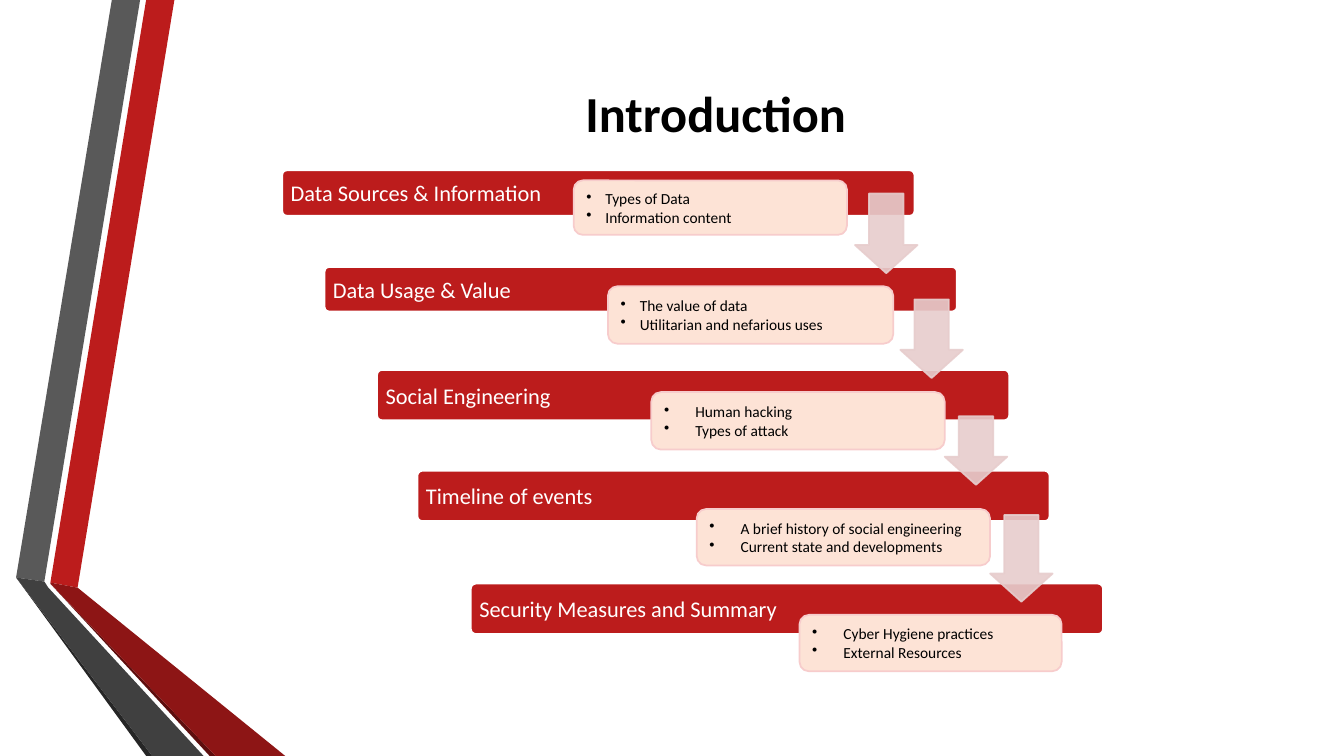
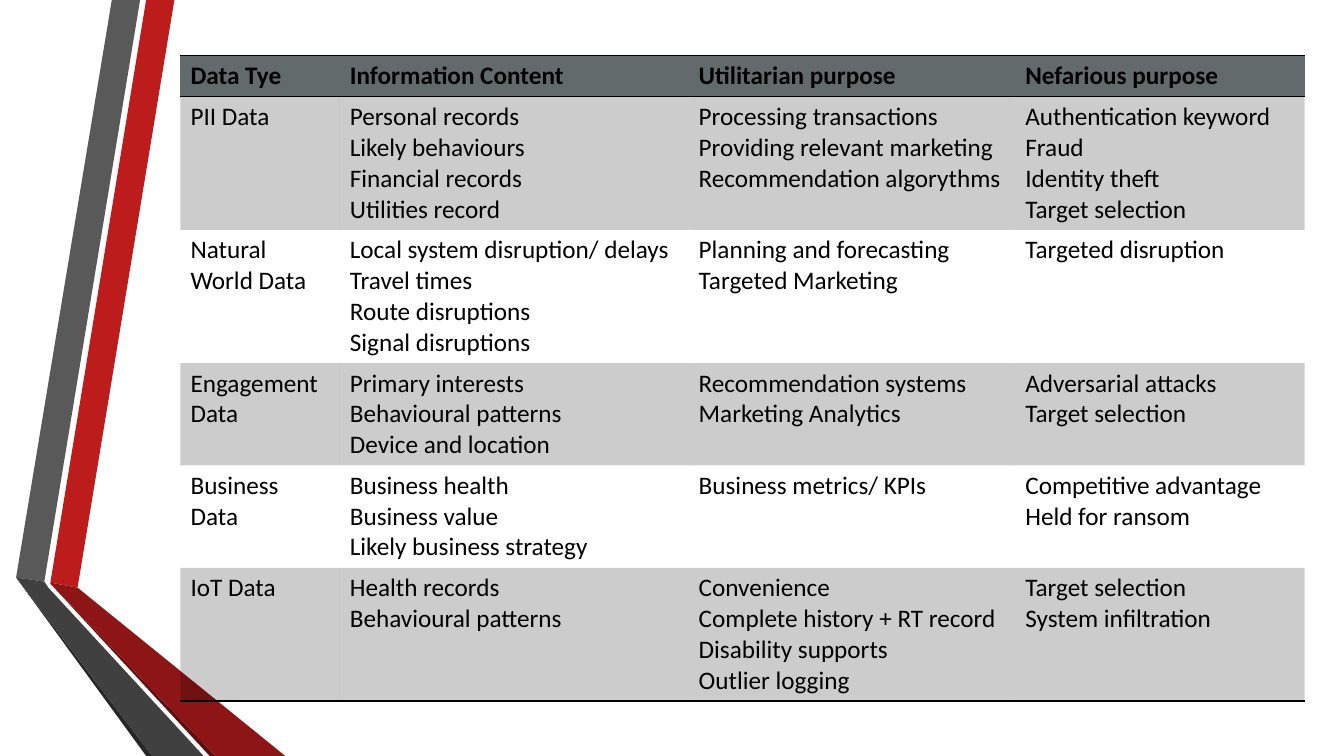
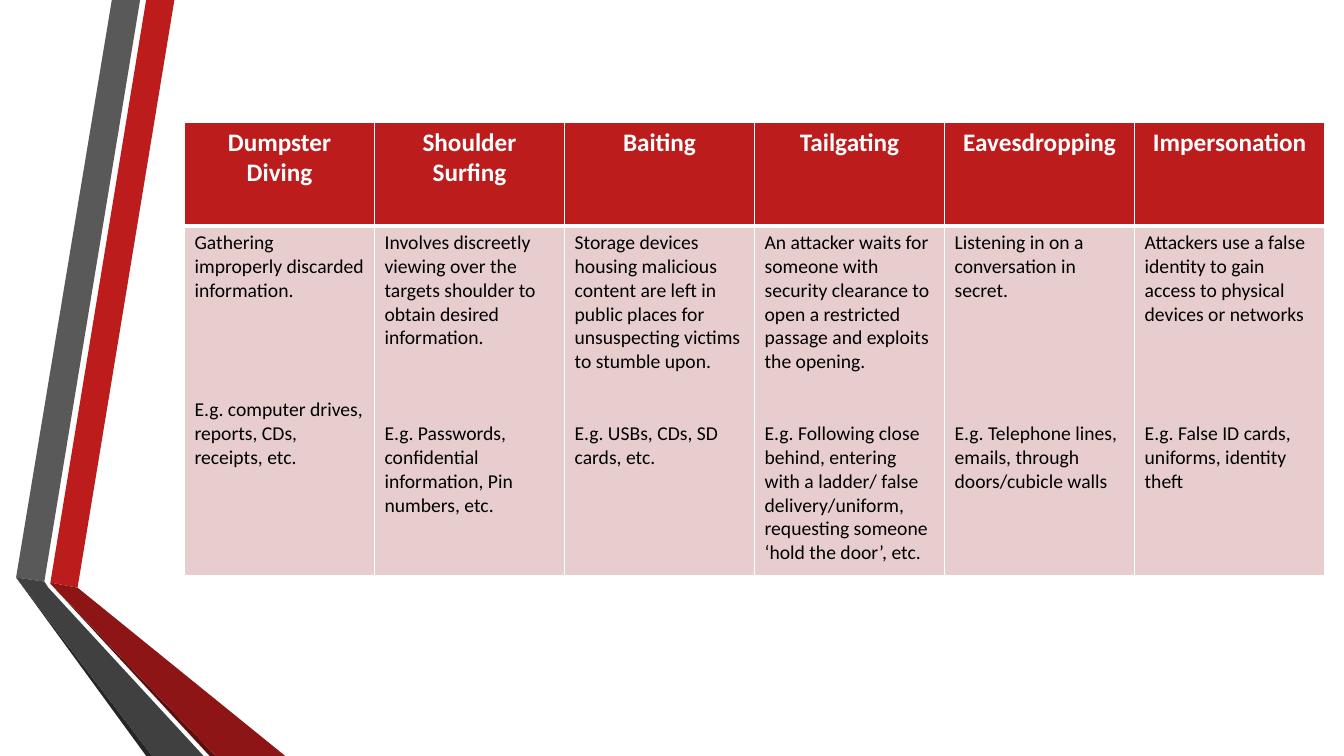
from typing import NamedTuple

from lxml import etree
from pptx import Presentation
from pptx import slide as slides
from pptx import table as tables
from pptx import util as u
from pptx.dml.color import RGBColor
from pptx.enum import shapes, text
from pptx.oxml import ns
from pptx.shapes import autoshape
from pptx.text import text as content

FONT = "Calibri"
BLACK = RGBColor(0x00, 0x00, 0x00)
WHITE = RGBColor(0xFF, 0xFF, 0xFF)
RED = RGBColor(0xBC, 0x1C, 0x1C)
DARK_RED = RGBColor(0x8D, 0x15, 0x15)
DEEP_RED = RGBColor(0x5E, 0x0E, 0x0E)
GRAY = RGBColor(0x59, 0x59, 0x59)
DARK_GRAY = RGBColor(0x40, 0x40, 0x40)
DEEP_GRAY = RGBColor(0x26, 0x26, 0x26)
SLATE = RGBColor(0x63, 0x6A, 0x6C)
ROSE = RGBColor(0xE7, 0xCD, 0xCD)
PEACH = RGBColor(0xFD, 0xE3, 0xD6)
PINK = RGBColor(0xF7, 0xCC, 0xCC)

PLAIN_TABLE_STYLE = "{2D5ABB26-0587-4C30-8999-92F81FD0307C}"
BODY_LINE = 17.1


class Area(NamedTuple):
    left: float
    top: float
    width: float
    height: float


class Band(NamedTuple):
    color: RGBColor
    points: tuple[tuple[float, float], ...]


class Step(NamedTuple):
    heading: str
    left: float
    top: float
    height: float
    note: Area
    indent: float
    topics: tuple[str, ...]


class Attack(NamedTuple):
    name: str
    meaning: str
    gap_lines: int
    example: str


BANDS = (
    Band(RED, ((0.5, 5.78), (0.77, 5.83), (1.73, 0), (1.45, 0))),
    Band(GRAY, ((1.39, 0), (1.11, 0), (0.16, 5.73), (0.44, 5.77))),
    Band(DEEP_GRAY, ((0.16, 5.73), (1.45, 7.5), (1.51, 7.5))),
    Band(DEEP_RED, ((0.5, 5.79), (2.08, 7.5), (2.14, 7.5))),
    Band(DARK_RED, ((0.5, 5.79), (2.14, 7.5), (2.83, 7.5), (0.77, 5.83), (0.5, 5.78))),
    Band(DARK_GRAY, ((2.02, 7.5), (0.48, 5.83), (0.44, 5.77), (0.16, 5.73), (1.51, 7.5))),
)

BAR_WIDTH = 6.27
STEPS = (
    Step("Data Sources & Information", 2.8, 1.69, 0.45, Area(5.69, 1.79, 2.71, 0.54), 0.19,
         ("Types of Data", "Information content")),
    Step("Data Usage & Value", 3.22, 2.65, 0.44, Area(6.03, 2.84, 2.83, 0.57), 0.19,
         ("The value of data", "Utilitarian and nefarious uses")),
    Step("Social Engineering", 3.74, 3.67, 0.5, Area(6.46, 3.89, 2.91, 0.57), 0.31,
         ("Human hacking", "Types of attack")),
    Step("Timeline of events", 4.14, 4.67, 0.5, Area(6.91, 5.05, 2.91, 0.56), 0.31,
         ("A brief history of social engineering", "Current state and developments")),
    Step("Security Measures and Summary", 4.67, 5.79, 0.5, Area(7.93, 6.1, 2.6, 0.56), 0.31,
         ("Cyber Hygiene practices", "External Resources")),
)
ARROWS = (
    Area(8.48, 1.92, 0.62, 0.79),
    Area(8.93, 2.97, 0.62, 0.78),
    Area(9.37, 4.13, 0.62, 0.68),
    Area(9.82, 5.11, 0.62, 0.86),
)

DATA_COLUMNS = (1.58, 3.46, 3.24, 2.87)
DATA_ROWS = (0.41, 1.32, 1.32, 1.01, 1.01, 1.32)
DATA_USES = (
    ("Data Tye", "Information Content", "Utilitarian purpose", "Nefarious purpose"),
    ("PII Data",
     "Personal records\nLikely behaviours\nFinancial records\nUtilities record",
     "Processing transactions\nProviding relevant marketing\nRecommendation algorythms",
     "Authentication keyword\nFraud\nIdentity theft\nTarget selection"),
    ("Natural World Data",
     "Local system disruption/ delays\nTravel times\nRoute disruptions\nSignal disruptions",
     "Planning and forecasting\nTargeted Marketing",
     "Targeted disruption"),
    ("Engagement Data",
     "Primary interests\nBehavioural patterns\nDevice and location",
     "Recommendation systems\nMarketing Analytics",
     "Adversarial attacks\nTarget selection"),
    ("Business Data",
     "Business health\nBusiness value\nLikely business strategy",
     "Business metrics/ KPIs",
     "Competitive advantage\nHeld for ransom"),
    ("IoT Data",
     "Health records\nBehavioural patterns",
     "Convenience\nComplete history + RT record\nDisability supports\nOutlier logging",
     "Target selection\nSystem infiltration"),
)

ATTACKS = (
    Attack("Dumpster Diving", "Gathering improperly discarded information.", 4,
           "E.g. computer drives, reports, CDs, receipts, etc."),
    Attack("Shoulder Surfing",
           "Involves discreetly viewing over the targets shoulder to obtain desired information.", 3,
           "E.g. Passwords, confidential information, Pin numbers, etc."),
    Attack("Baiting",
           "Storage devices housing malicious content are left in public places for "
           "unsuspecting victims to stumble upon.", 2,
           "E.g. USBs, CDs, SD cards, etc."),
    Attack("Tailgating",
           "An attacker waits for someone with security clearance to open a restricted "
           "passage and exploits the opening.", 2,
           "E.g. Following close behind, entering with a ladder/ false delivery/uniform, "
           "requesting someone ‘hold the door’, etc."),
    Attack("Eavesdropping", "Listening in on a conversation in secret.", 5,
           "E.g. Telephone lines, emails, through doors/cubicle walls"),
    Attack("Impersonation",
           "Attackers use a false identity to gain access to physical devices or networks", 4,
           "E.g. False ID cards, uniforms, identity theft"),
)


def inches(area: Area) -> list[u.Length]:
    return [u.Inches(length) for length in area]


def write(frame: content.TextFrame, words: str, size: float, color: RGBColor = BLACK,
          bold: bool = False, align: text.PP_ALIGN = text.PP_ALIGN.LEFT) -> None:
    frame.text = words
    frame.word_wrap = True
    for para in frame.paragraphs:
        para.alignment = align
        font = para.font
        font.name, font.size, font.bold = FONT, u.Pt(size), bold
        font.color.rgb = color


def add_bullet(para: content._Paragraph, indent: float) -> None:
    properties = para._p.get_or_add_pPr()
    properties.set("marL", str(u.Inches(indent)))
    properties.set("indent", str(-u.Inches(indent)))
    bullet = etree.Element(ns.qn("a:buChar"), char="•")
    properties.insert(0, bullet)


def set_opacity(element: etree._Element, percent: int) -> None:
    for color in element.iter(ns.qn("a:srgbClr")):
        etree.SubElement(color, ns.qn("a:alpha"), val=str(percent * 1000))


def set_borders(cell: tables._Cell, color: RGBColor, widths: dict[str, float]) -> None:
    properties = cell._tc.get_or_add_tcPr()
    sides = [side for side in "LRTB" if side in widths]
    for position, side in enumerate(sides):
        line = etree.Element(ns.qn(f"a:ln{side}"), w=str(u.Pt(widths[side])))
        fill = etree.SubElement(line, ns.qn("a:solidFill"))
        etree.SubElement(fill, ns.qn("a:srgbClr"), val=str(color))
        properties.insert(position, line)


def add_page(deck: Presentation, layout: int) -> slides.Slide:
    page = deck.slides.add_slide(deck.slide_layouts[layout])
    for band in BANDS:
        points = [(u.Inches(x), u.Inches(y)) for x, y in band.points]
        builder = page.shapes.build_freeform(*points[0], scale=1.0)
        builder.add_line_segments(points[1:], close=True)
        shape = builder.convert_to_shape()
        shape.shadow.inherit = False
        shape.fill.solid()
        shape.fill.fore_color.rgb = band.color
        shape.line.fill.background()
    return page


def add_box(page: slides.Slide, kind: shapes.MSO_SHAPE, area: Area,
            fill: RGBColor, line: RGBColor) -> autoshape.Shape:
    box = page.shapes.add_shape(kind, *inches(area))
    box.shadow.inherit = False
    box.fill.solid()
    box.fill.fore_color.rgb = fill
    box.line.color.rgb = line
    box.line.width = u.Pt(1.25)
    box.text_frame.vertical_anchor = text.MSO_ANCHOR.MIDDLE
    return box


def add_bar(page: slides.Slide, step: Step) -> None:
    area = Area(step.left, step.top, BAR_WIDTH, step.height)
    bar = add_box(page, shapes.MSO_SHAPE.ROUNDED_RECTANGLE, area, RED, WHITE)
    bar.adjustments[0] = 0.1
    bar.text_frame.margin_left = u.Inches(0.07)
    write(bar.text_frame, step.heading, 16, WHITE)


def add_arrow(page: slides.Slide, area: Area) -> None:
    arrow = add_box(page, shapes.MSO_SHAPE.DOWN_ARROW, area, ROSE, ROSE)
    arrow.adjustments[0] = 0.55
    arrow.adjustments[1] = 0.45
    set_opacity(arrow.element.spPr, 90)


def add_note(page: slides.Slide, step: Step) -> None:
    note = add_box(page, shapes.MSO_SHAPE.ROUNDED_RECTANGLE, step.note, PEACH, PINK)
    write(note.text_frame, "\n".join(step.topics), 11)
    for para in note.text_frame.paragraphs:
        add_bullet(para, step.indent)


def add_grid(page: slides.Slide, left: float, top: float, columns: tuple[float, ...],
             rows: tuple[float, ...]) -> tables.Table:
    area = Area(left, top, sum(columns), sum(rows))
    frame = page.shapes.add_table(len(rows), len(columns), *inches(area))
    grid = frame.table
    grid.horz_banding = False
    grid._tbl.tblPr.find(ns.qn("a:tableStyleId")).text = PLAIN_TABLE_STYLE
    for column, width in zip(grid.columns, columns):
        column.width = u.Inches(width)
    for row, height in zip(grid.rows, rows):
        row.height = u.Inches(height)
    return grid


def fill_cell(cell: tables._Cell, color: RGBColor) -> None:
    cell.fill.solid()
    cell.fill.fore_color.rgb = color


def build_introduction(deck: Presentation) -> None:
    page = add_page(deck, 5)
    title = page.shapes.title
    title.left, title.top, title.width, title.height = inches(Area(1.62, 0.75, 10.96, 0.72))
    title.text_frame.vertical_anchor = text.MSO_ANCHOR.MIDDLE
    write(title.text_frame, "Introduction", 36, bold=True, align=text.PP_ALIGN.CENTER)
    for step in STEPS:
        add_bar(page, step)
    for area in ARROWS:
        add_arrow(page, area)
    for step in STEPS:
        add_note(page, step)


def build_data_uses(deck: Presentation) -> None:
    grid = add_grid(add_page(deck, 6), 1.79, 0.55, DATA_COLUMNS, DATA_ROWS)
    last = len(DATA_USES) - 1
    for row, entries in enumerate(DATA_USES):
        for column, words in enumerate(entries):
            cell = grid.cell(row, column)
            write(cell.text_frame, words, 18, bold=row == 0)
            if row == 0:
                fill_cell(cell, SLATE)
                set_borders(cell, BLACK, {"T": 1, "B": 1})
            elif row % 2:
                fill_cell(cell, BLACK)
                set_opacity(cell._tc.tcPr, 20)
            else:
                cell.fill.background()
            if row == last:
                set_borders(cell, BLACK, {"B": 1})


def build_attacks(deck: Presentation) -> None:
    columns = (11.31 / len(ATTACKS),) * len(ATTACKS)
    grid = add_grid(add_page(deck, 6), 1.83, 1.21, columns, (1.03, 3.47))
    for column, attack in enumerate(ATTACKS):
        header, body = grid.cell(0, column), grid.cell(1, column)
        write(header.text_frame, attack.name, 18, WHITE, True, text.PP_ALIGN.CENTER)
        fill_cell(header, RED)
        set_borders(header, WHITE, {"L": 1, "R": 1, "T": 1, "B": 3})
        write(body.text_frame, f"{attack.meaning}\n{attack.example}", 14)
        body.text_frame.paragraphs[1].space_before = u.Pt(attack.gap_lines * BODY_LINE)
        fill_cell(body, ROSE)
        set_borders(body, WHITE, {"L": 1, "R": 1, "T": 3, "B": 1})


def main() -> None:
    deck = Presentation()
    deck.slide_width, deck.slide_height = u.Inches(13.33), u.Inches(7.5)
    build_introduction(deck)
    build_data_uses(deck)
    build_attacks(deck)
    deck.save("out.pptx")


if __name__ == "__main__":
    main()
